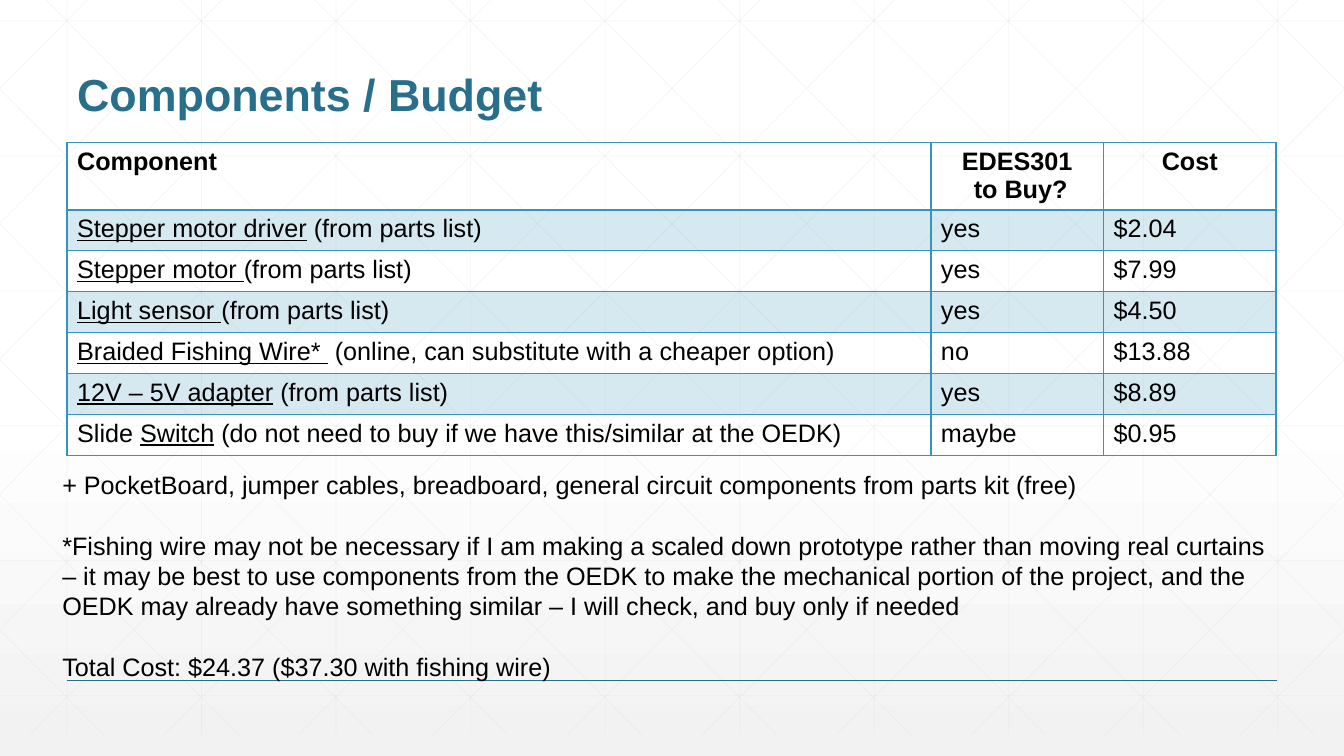
from copy import deepcopy
from dataclasses import dataclass

from lxml import etree
from pptx import Presentation, util as u
from pptx.dml.color import RGBColor
from pptx.enum import shapes, text
from pptx.oxml.ns import qn


@dataclass(frozen=True)
class Theme:
    font: str = "Arial"
    ink: str = "000000"
    title: str = "276F8B"
    accent: str = "3494BA"
    grid: str = "D9D9D9"
    backdrop: tuple = ((0, "FFFFFF"), (0.53, "FFFFFF"), (1, "F2F2F2"))
    title_size: float = 32
    body_size: float = 18
    body_leading: float = 21.6


WIDTH, HEIGHT = 33.87, 19.05
LEFT, RIGHT = 1.69, 32.18
PITCH_X, PITCH_Y = 3.39, 3.4
GRID_TOP, GRID_BOTTOM = -0.53, 18.52
DIAGONAL_START, DIAGONAL_RUN = 0.63, 18.94

HEADER = ("Component", "EDES301\n to Buy?", "Cost")
PARTS = (
    ("", "Stepper motor driver", " (from parts list)", "yes", "$2.04"),
    ("", "Stepper motor ", "(from parts list)", "yes", "$7.99"),
    ("", "Light sensor ", "(from parts list)", "yes", "$4.50"),
    ("", "Braided Fishing Wire* ", " (online, can substitute with a cheaper option)", "no", "$13.88"),
    ("", "12V – 5V adapter", " (from parts list)", "yes", "$8.89"),
    ("Slide ", "Switch", " (do not need to buy if we have this/similar at the OEDK)", "maybe", "$0.95"),
)
NOTES = (
    "+ PocketBoard, jumper cables, breadboard, general circuit components from parts kit (free)",
    "*Fishing wire may not be necessary if I am making a scaled down prototype rather than moving "
    "real curtains – it may be best to use components from the OEDK to make the mechanical portion "
    "of the project, and the OEDK may already have something similar – I will check, and buy only "
    "if needed",
    "Total Cost: $24.37 ($37.30 with fishing wire)",
)


class Deck:
    def __init__(self, theme):
        self.theme = theme
        self.prs = Presentation()
        self.prs.slide_width, self.prs.slide_height = u.Cm(WIDTH), u.Cm(HEIGHT)
        self.s = self.prs.slides.add_slide(self.prs.slide_layouts[5])

    def backdrop(self):
        fill = self.s.background.fill
        fill.gradient()
        fill.gradient_angle = 270
        stops = self.s._element.find(".//" + qn("a:gsLst"))
        stops.insert(0, deepcopy(stops[0]))
        for stop, (position, color) in zip(fill.gradient_stops, self.theme.backdrop):
            stop.position = position
            stop.color.rgb = RGBColor.from_string(color)

    def fade(self, element, percent):
        color = element.findall(".//" + qn("a:srgbClr"))[-1]
        etree.SubElement(color, qn("a:alpha"), val=str(percent * 1000))

    def line(self, x1, y1, x2, y2, color, width, opacity=100):
        c = self.s.shapes.add_connector(
            shapes.MSO_CONNECTOR.STRAIGHT, u.Cm(x1), u.Cm(y1), u.Cm(x2), u.Cm(y2))
        c.line.color.rgb = RGBColor.from_string(color)
        c.line.width = u.Pt(width)
        if opacity < 100:
            self.fade(c.line._ln, opacity)
        etree.SubElement(c._element.spPr, qn("a:effectLst"))

    def grid(self):
        def draw(*ends):
            self.line(*ends, self.theme.grid, 0.5, 25)

        for i in range(10):
            x = LEFT + i * PITCH_X
            draw(x, GRID_TOP, x, GRID_BOTTOM)
        for i in range(6):
            y = -GRID_TOP + i * PITCH_Y
            draw(0, y, WIDTH, y)
        slope = (GRID_BOTTOM - GRID_TOP) / DIAGONAL_RUN
        for i in range(-5, 10):
            start = DIAGONAL_START + i * PITCH_X
            x1, x2 = max(start, 0), min(start + DIAGONAL_RUN, WIDTH)
            y1, y2 = (GRID_TOP + (x - start) * slope for x in (x1, x2))
            draw(x1, y1, x2, y2)
            draw(WIDTH - x1, y1, WIDTH - x2, y2)

    def style(self, p, size, color, bold=False):
        p.font.name = self.theme.font
        p.font.size = u.Pt(size)
        p.font.bold = bold
        p.font.color.rgb = RGBColor.from_string(color)

    def place(self, sp, left, top, width, height):
        sp.left, sp.top, sp.width, sp.height = map(u.Cm, (left, top, width, height))

    def title(self, words, *box):
        sp = self.s.shapes.title
        self.place(sp, *box)
        self.s.shapes._spTree.append(sp._element)
        tf = sp.text_frame
        tf.text = words
        tf.word_wrap = True
        tf.auto_size = text.MSO_AUTO_SIZE.NONE
        tf.vertical_anchor = text.MSO_ANCHOR.BOTTOM
        p = tf.paragraphs[0]
        p.alignment = text.PP_ALIGN.LEFT
        p.line_spacing = 0.9
        self.style(p, self.theme.title_size, self.theme.title, True)

    def borders(self, cell, widths):
        tcPr = cell._tc.get_or_add_tcPr()
        for side, width in zip("LRTB", widths):
            ln = etree.SubElement(tcPr, qn("a:ln" + side), w=str(u.Pt(width)))
            fill = etree.SubElement(ln, qn("a:solidFill"))
            etree.SubElement(fill, qn("a:srgbClr"), val=self.theme.accent)

    def cell(self, cell, row, col, content):
        tf = cell.text_frame
        if isinstance(content, str):
            tf.text = content
        else:
            for i, words in enumerate(content):
                if words:
                    r = tf.paragraphs[0].add_run()
                    r.text = words
                    r.font.underline = i == 1
        for p in tf.paragraphs:
            self.style(p, self.theme.body_size, self.theme.ink, row == 0)
            if row == 0 and col > 0:
                p.alignment = text.PP_ALIGN.CENTER
        self.borders(cell, (1, 1, 2 if row == 1 else 1, 2 if row == 0 else 1))
        if row % 2:
            cell.fill.solid()
            cell.fill.fore_color.rgb = RGBColor.from_string(self.theme.accent)
            self.fade(cell._tc.tcPr, 20)
        else:
            cell.fill.background()

    def table(self, rows, left, top, widths, heights):
        table = self.s.shapes.add_table(
            len(rows), len(widths), u.Cm(left), u.Cm(top),
            u.Cm(sum(widths)), u.Cm(sum(heights))).table
        for column, width in zip(table.columns, widths):
            column.width = u.Cm(width)
        for i, (row, height) in enumerate(zip(rows, heights)):
            table.rows[i].height = u.Cm(height)
            for j, content in enumerate(row):
                self.cell(table.cell(i, j), i, j, content)

    def notes(self, paragraphs, *box):
        tf = self.s.shapes.add_textbox(*map(u.Cm, box)).text_frame
        tf.word_wrap = True
        tf.text = "\n".join(paragraphs)
        for i, p in enumerate(tf.paragraphs):
            self.style(p, self.theme.body_size, self.theme.ink)
            p.line_spacing = u.Pt(self.theme.body_leading)
            if i:
                p.space_before = u.Pt(self.theme.body_leading)


def main():
    theme = Theme()
    deck = Deck(theme)
    deck.backdrop()
    deck.grid()
    deck.line(LEFT, 17.15, RIGHT, 17.15, theme.title, 1)
    deck.title("Components / Budget", LEFT, 0.64, RIGHT - LEFT, 2.54)
    rows = [HEADER] + [(part[:3], *part[3:]) for part in PARTS]
    deck.table(rows, LEFT, 3.6, (21.77, 4.35, 4.35), [1.69] + [1.03] * len(PARTS))
    deck.notes(NOTES, 1.32, 11.71, 31.22, 5.64)
    deck.prs.save("out.pptx")


if __name__ == "__main__":
    main()
